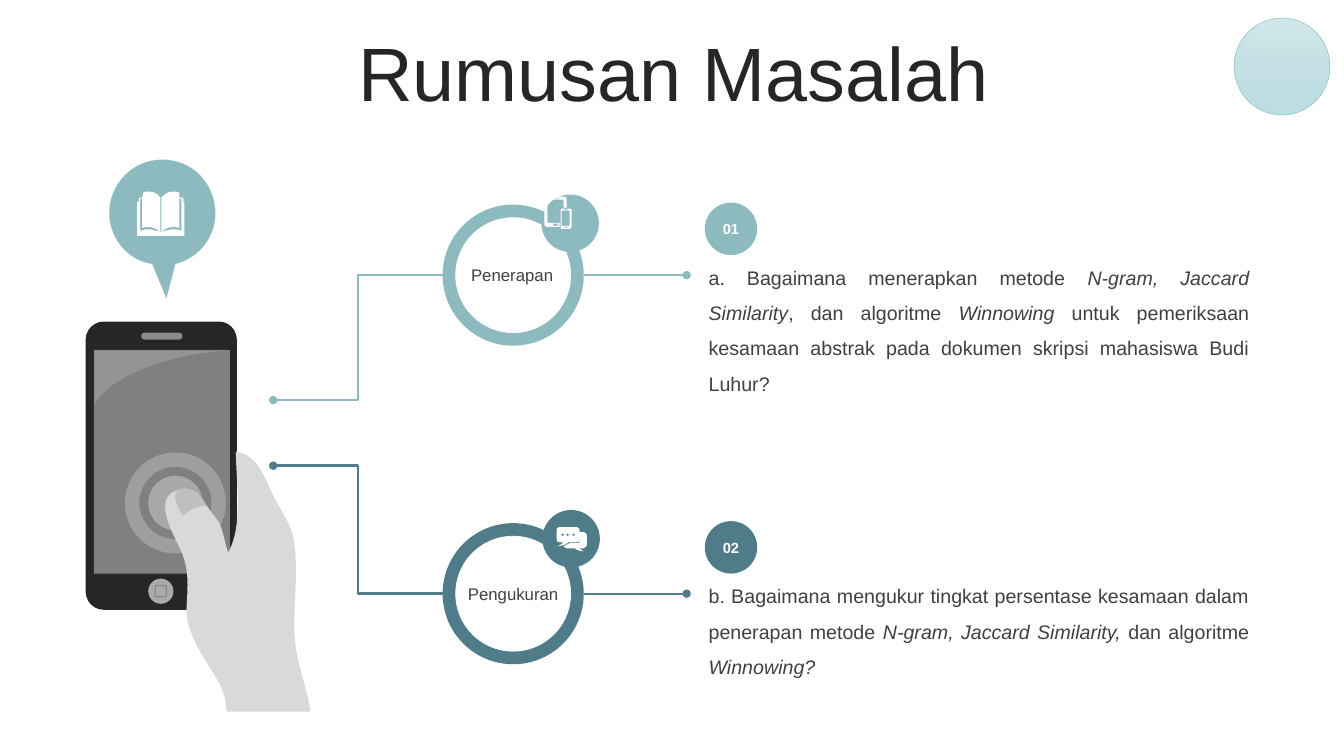
"""Builds the problem statement slide with a phone and two research questions."""
from copy import deepcopy
from dataclasses import dataclass
from math import cos, radians, sin
from typing import Any, Optional
from lxml.etree import SubElement
from pptx import Presentation
from pptx.dml.color import RGBColor
from pptx.enum.shapes import MSO_CONNECTOR, MSO_SHAPE
from pptx.enum.text import MSO_ANCHOR, MSO_AUTO_SIZE, PP_ALIGN
from pptx.oxml.ns import qn
from pptx.util import Inches, Pt

COLORS = {"light": "8CBABE", "dark": "507C89", "white": "FFFFFF", "black": "262626", "text": "404040",
          "screen": "808080", "glow": "ECECEC", "hand": "D9D9D9", "nail": "BFBFBF", "sky": "D1E7EA",
          "mist": "C4E0E4", "pool": "BCDDE2", "rim": "9CCCD2"}
OVAL, RECTANGLE, ROUNDED = MSO_SHAPE.OVAL, MSO_SHAPE.RECTANGLE, MSO_SHAPE.ROUNDED_RECTANGLE
DOTS = " Z ".join(f"{x} 5.29 | {x - 0.02} 5.29 {x - 0.02} 5.32 {x} 5.32 | {x + 0.02} 5.32 {x + 0.02} 5.29 {x} 5.29"
                  for x in (5.69, 5.63, 5.58))
CHAT = DOTS + """ Z 5.75 5.28 | 5.79 5.28 | 5.8 5.28 5.82 5.29 5.82 5.31 | 5.82 5.41 | 5.82 5.42 5.8 5.44 5.79 5.44
    | 5.75 5.44 | 5.76 5.45 5.76 5.45 5.79 5.47 | 5.73 5.46 5.72 5.46 5.7 5.44 | 5.62 5.44
    | 5.61 5.44 5.6 5.43 5.59 5.42 | 5.61 5.41 5.63 5.4 5.65 5.39 | 5.72 5.39 | 5.74 5.39 5.75 5.38 5.75 5.36
    Z 5.55 5.23 | 5.72 5.23 | 5.73 5.23 5.75 5.24 5.75 5.26 | 5.75 5.35 | 5.75 5.37 5.73 5.38 5.72 5.38 | 5.64 5.38
    | 5.6 5.41 5.59 5.41 5.53 5.42 | 5.57 5.4 5.57 5.4 5.59 5.38 | 5.55 5.38 | 5.53 5.38 5.52 5.37 5.52 5.35
    | 5.52 5.26 | 5.52 5.24 5.53 5.23 5.55 5.23"""
DEVICES = """5.6 2.25 | 5.63 2.25 | 5.63 2.26 | 5.6 2.26 Z 5.49 2.22 | 5.53 2.22 | 5.53 2.24 | 5.49 2.24
    Z 5.57 2.09 | 5.57 2.24 | 5.65 2.24 | 5.65 2.09 Z 5.6 2.07 | 5.63 2.07 | 5.63 2.08 | 5.6 2.08
    Z 5.57 2.07 | 5.65 2.07 | 5.66 2.07 5.67 2.07 5.67 2.08 | 5.67 2.25 | 5.67 2.26 5.66 2.27 5.65 2.27 | 5.57 2.27
    | 5.56 2.27 5.56 2.26 5.56 2.25 | 5.56 2.08 | 5.56 2.07 5.56 2.07 5.57 2.07
    Z 5.48 1.96 | 5.54 1.96 | 5.54 1.97 | 5.48 1.97 Z 5.42 1.95 | 5.59 1.95 | 5.61 1.95 5.62 1.96 5.62 1.97 | 5.62 2.06
    | 5.59 2.06 | 5.59 1.98 | 5.43 1.98 | 5.43 2.21 | 5.55 2.21 | 5.55 2.25 | 5.42 2.25
    | 5.41 2.25 5.4 2.24 5.4 2.23 | 5.4 1.97 | 5.4 1.96 5.41 1.95 5.42 1.95"""
BOOK = """1.6 2.3 | 1.6 2.3 1.59 2.31 1.59 2.3 | 1.51 2.28 1.48 2.26 1.39 2.29 | 1.39 1.97 | 1.41 1.97 | 1.41 2.26
    | 1.47 2.24 1.53 2.25 1.59 2.3 | 1.59 1.96 | 1.56 1.92 1.52 1.9 1.48 1.9 | 1.46 1.9 1.44 1.9 1.42 1.91
    | 1.42 1.93 1.41 1.94 1.41 1.96 | 1.38 1.96 | 1.38 2 | 1.36 2 | 1.36 2.34 | 1.83 2.34 | 1.83 2 | 1.82 2 | 1.82 1.96
    | 1.78 1.96 | 1.78 1.94 1.78 1.93 1.78 1.91 | 1.75 1.9 1.73 1.9 1.71 1.9 | 1.67 1.9 1.64 1.92 1.6 1.96 | 1.6 2.3
    | 1.66 2.25 1.72 2.24 1.78 2.26 | 1.78 1.97 | 1.8 1.97 | 1.8 2.29 | 1.72 2.26 1.68 2.28 1.6 2.3"""
PIN = """2.02 1.78 | 1.84 1.55 1.5 1.52 1.28 1.7 | 1.05 1.89 1.02 2.22 1.2 2.44 | 1.28 2.54 1.39 2.6 1.51 2.62
    | 1.65 2.96 | 1.74 2.62 | 1.81 2.6 1.88 2.57 1.94 2.52 | 2.17 2.34 2.2 2.01 2.02 1.78"""
GLARE = "0.94 3.48 | 2.26 3.48 | 1.82 3.49 1.11 3.69 0.94 4.01 | 0.94 3.48"
HAND = """2.34 4.48 | 2.53 4.51 2.6 4.68 2.67 4.83 | 2.75 5.03 2.9 5.19 2.92 5.4 | 2.96 5.69 2.91 5.99 2.92 6.28
    | 2.93 6.55 3.04 6.8 3.08 7.06 | 2.25 7.06 | 2.23 6.97 2.26 7 2.2 6.83 | 2.13 6.66 1.84 6.33 1.85 6.04
    | 1.86 5.82 1.89 5.63 1.76 5.39 | 1.7 5.26 1.53 4.95 1.74 4.87 | 1.94 4.79 2.06 5.05 2.15 5.15
    | 2.23 5.24 2.25 5.57 2.28 5.45 | 2.41 5.17 2.34 4.78 2.34 4.48"""
NAIL = """1.8 4.85 | 1.95 4.82 2.02 4.96 2.05 5.02 | 1.99 5.01 1.9 5.04 1.81 5.12 | 1.74 4.98 1.69 4.88 1.8 4.85"""


@dataclass
class Part:
    """Preset shape or outline with its place in inches and opacity in percent."""
    kind: Any
    place: tuple[float, ...]
    fill: Optional[str] = None
    opacity: int = 100
    line: Optional[str] = None
    width: float = 0.5
    corner: Optional[float] = None
    turn: float = 0


@dataclass
class Topic:
    """One research question, laid out around its horizontal axis."""
    axis: float
    start: float
    color: str
    label: tuple[str, float]
    number: str
    bubble: tuple[float, float]
    icon: Part
    spans: list[tuple[str, bool]]


PHONE = [Part(ROUNDED, (0.85, 3.19, 1.5, 2.86), "black", corner=0.12),
         Part(RECTANGLE, (0.93, 3.47, 1.35, 2.22), "screen"),
         Part(ROUNDED, (1.4, 3.3, 0.41, 0.07), "glow", 51, corner=0.5),
         Part(OVAL, (1.47, 5.74, 0.25, 0.25), "glow", 67),
         Part(RECTANGLE, (1.54, 5.81, 0.11, 0.11), None, 22, "black", 1),
         Part(GLARE, (0.94, 3.48, 1.32, 0.53), "white", 16),
         Part(OVAL, (1.47, 4.72, 0.54, 0.54), "white", 32),
         Part(OVAL, (1.31, 4.56, 0.86, 0.86), None, 24, "white", 10.25),
         Part(PIN, (1.06, 1.65, 1.21, 1.05), "light", turn=50.9),
         Part(HAND, (1.64, 4.48, 1.44, 2.58), "hand"),
         Part(NAIL, (1.74, 4.85, 0.32, 0.27), "nail"),
         Part(BOOK, (1.36, 1.9, 0.48, 0.45), "white")]
TOPICS = [
    Topic(2.73, 3.97, "light", ("Penerapan", 4.51), "01", (5.37, 1.93), Part(DEVICES, (5.4, 1.95, 0.26, 0.31), "white"),
          [("a. Bagaimana menerapkan metode ", False), ("N-gram, Jaccard Similarity", True),
           (", dan algoritme ", False), ("Winnowing ", True),
           ("untuk pemeriksaan kesamaan abstrak pada dokumen skripsi mahasiswa Budi Luhur?", False)]),
    Topic(5.89, 4.62, "dark", ("Pengukuran", 4.52), "02", (5.38, 5.06), Part(CHAT, (5.52, 5.23, 0.3, 0.24), "white"),
          [("b. Bagaimana mengukur tingkat persentase kesamaan dalam penerapan metode ", False),
           ("N-gram, Jaccard Similarity, ", True), ("dan algoritme ", False), ("Winnowing?", True)])]


def assign(target: Any, values: dict[str, Any]) -> None:
    """Set every attribute in the dict."""
    for name, value in values.items():
        setattr(target, name, value)


def paint(color: Any, name: str, holder: Any = None, opacity: int = 100) -> None:
    """Set a named colour, translucent within its holder if asked."""
    color.rgb = RGBColor.from_string(COLORS[name])
    if opacity < 100:
        SubElement(holder.find(qn("a:solidFill"))[0], qn("a:alpha"), val=str(opacity * 1000))


def trace(shapes: Any, part: Part) -> Any:
    """Draw closed contours split by Z, with lines of two and curves of six numbers split by bars."""
    left, top, width, height = map(Inches, part.place)
    builder = shapes.build_freeform(left, top, scale=1.0)
    builder.add_line_segments([(left + width, top + height)], close=False)
    shape = builder.convert_to_shape()
    route = shape.element.spPr.find(qn("a:custGeom")).find(qn("a:pathLst"))[0]
    for step in list(route):
        route.remove(step)
    across, down = cos(radians(part.turn)), sin(radians(part.turn))
    for contour in part.kind.split("Z"):
        for index, segment in enumerate(contour.split("|")):
            numbers = [Inches(float(n)) for n in segment.split()]
            tag = "a:moveTo" if index == 0 else "a:lnTo" if len(numbers) == 2 else "a:cubicBezTo"
            command = SubElement(route, qn(tag))
            for x, y in zip(numbers[::2], numbers[1::2]):
                dx, dy = x - left - width / 2, y - top - height / 2
                SubElement(command, qn("a:pt"), x=str(round(width / 2 + dx * across + dy * down)),
                           y=str(round(height / 2 + dy * across - dx * down)))
        SubElement(route, qn("a:close"))
    shape.rotation = part.turn
    return shape


def draw(shapes: Any, part: Part) -> Any:
    """Draw a part with its fill and line."""
    outlined = isinstance(part.kind, str)
    shape = trace(shapes, part) if outlined else shapes.add_shape(part.kind, *map(Inches, part.place))
    if part.corner is not None:
        shape.adjustments[0] = part.corner
    shape.shadow.inherit = False
    properties = shape.element.spPr
    shape.fill.background()
    shape.line.fill.background()
    if part.fill:
        shape.fill.solid()
        paint(shape.fill.fore_color, part.fill, properties, part.opacity)
    if part.line:
        shape.line.width = Pt(part.width)
        shape.line.fill.solid()
        paint(shape.line.color, part.line, properties.find(qn("a:ln")), part.opacity)
    return shape


def draw_link(shapes: Any, kind: Any, ends: tuple[float, ...], color: str, width: float) -> None:
    """Draw a connector that begins with a dot."""
    link = shapes.add_connector(kind, *map(Inches, ends))
    paint(link.line.color, color)
    link.line.width = Pt(width)
    SubElement(link.element.spPr.find(qn("a:ln")), qn("a:headEnd"), type="oval")
    SubElement(link.element.spPr, qn("a:effectLst"))


def write(box: Any, spans: list[tuple[str, bool]], size: float, color: str, layout: dict, bold: bool = False) -> None:
    """Write one paragraph of upright and italic spans."""
    para = box.text_frame.paragraphs[0]
    assign(para, layout)
    for text, italic in spans:
        span = para.add_run()
        span.text = text
        assign(span.font, {"name": "Arial", "size": Pt(size), "bold": bold, "italic": italic})
        paint(span.font.color, color)


def add_text(shapes: Any, place: tuple[float, ...], spans: list, size: float, layout: dict[str, Any]) -> None:
    """Add a wrapping text box that grows with its text."""
    box = shapes.add_textbox(*map(Inches, place))
    assign(box.text_frame, {"word_wrap": True, "auto_size": MSO_AUTO_SIZE.SHAPE_TO_FIT_TEXT})
    write(box, spans, size, "text", layout)


def draw_topic(shapes: Any, topic: Topic) -> None:
    """Draw links, ring, icon bubble, badge and question of a topic."""
    axis, color, centred = topic.axis, topic.color, {"alignment": PP_ALIGN.CENTER}
    draw_link(shapes, MSO_CONNECTOR.ELBOW, (2.71, topic.start, 4.39, axis), color, 1.75)
    draw_link(shapes, MSO_CONNECTOR.STRAIGHT, (6.81, axis, 5.79, axis), color, 1.5)
    draw(shapes, Part(OVAL, (4.39, axis - 0.7, 1.4, 1.4), color))
    draw(shapes, Part(OVAL, (4.52, axis - 0.57, 1.14, 1.14), "white", line="white"))
    add_text(shapes, (topic.label[1], axis - 0.15, 1.14, 0.3), [(topic.label[0], False)], 12, centred)
    draw(shapes, Part(OVAL, (*topic.bubble, 0.57, 0.57), color))
    draw(shapes, topic.icon)
    justified = {"alignment": PP_ALIGN.JUSTIFY, "line_spacing": 1.5}
    add_text(shapes, (6.93, axis - 0.26, 5.56, 1.16), topic.spans, 14, justified)
    badge = draw(shapes, Part(OVAL, (6.99, axis - 0.72, 0.52, 0.52), color))
    badge.text_frame.vertical_anchor = MSO_ANCHOR.MIDDLE
    write(badge, [(topic.number, False)], 10.5, "white", centred, True)


def draw_corner(shapes: Any) -> None:
    """Draw the shaded circle in the top right corner."""
    circle = draw(shapes, Part(OVAL, (12.24, 0.18, 0.95, 0.96), "sky", line="rim"))
    circle.fill.gradient()
    circle.fill.gradient_angle = 270
    stops = circle.element.spPr.find(qn("a:gradFill")).find(qn("a:gsLst"))
    stops.insert(1, deepcopy(stops[0]))
    for stop, name, position in zip(circle.fill.gradient_stops, ("sky", "mist", "pool"), (0, 0.5, 1)):
        paint(stop.color, name)
        stop.position = position


def main() -> None:
    """Build and save the deck."""
    deck = Presentation()
    assign(deck, {"slide_width": Inches(13.33), "slide_height": Inches(7.5)})
    page = deck.slides.add_slide(deck.slide_layouts[5])
    shapes, title = page.shapes, page.shapes.title
    assign(title, dict(zip(("left", "top", "width", "height"), map(Inches, (0.35, 0.37, 12.66, 0.79)))))
    assign(title.text_frame, {"vertical_anchor": MSO_ANCHOR.MIDDLE, "auto_size": MSO_AUTO_SIZE.NONE})
    write(title, [("Rumusan Masalah", False)], 54, "black",
          {"alignment": PP_ALIGN.CENTER, "line_spacing": 0.9, "space_before": Pt(10)})
    for topic in TOPICS:
        draw_topic(shapes, topic)
    for part in PHONE:
        draw(shapes, part)
    draw_corner(shapes)
    deck.save("out.pptx")


if __name__ == "__main__":
    main()
